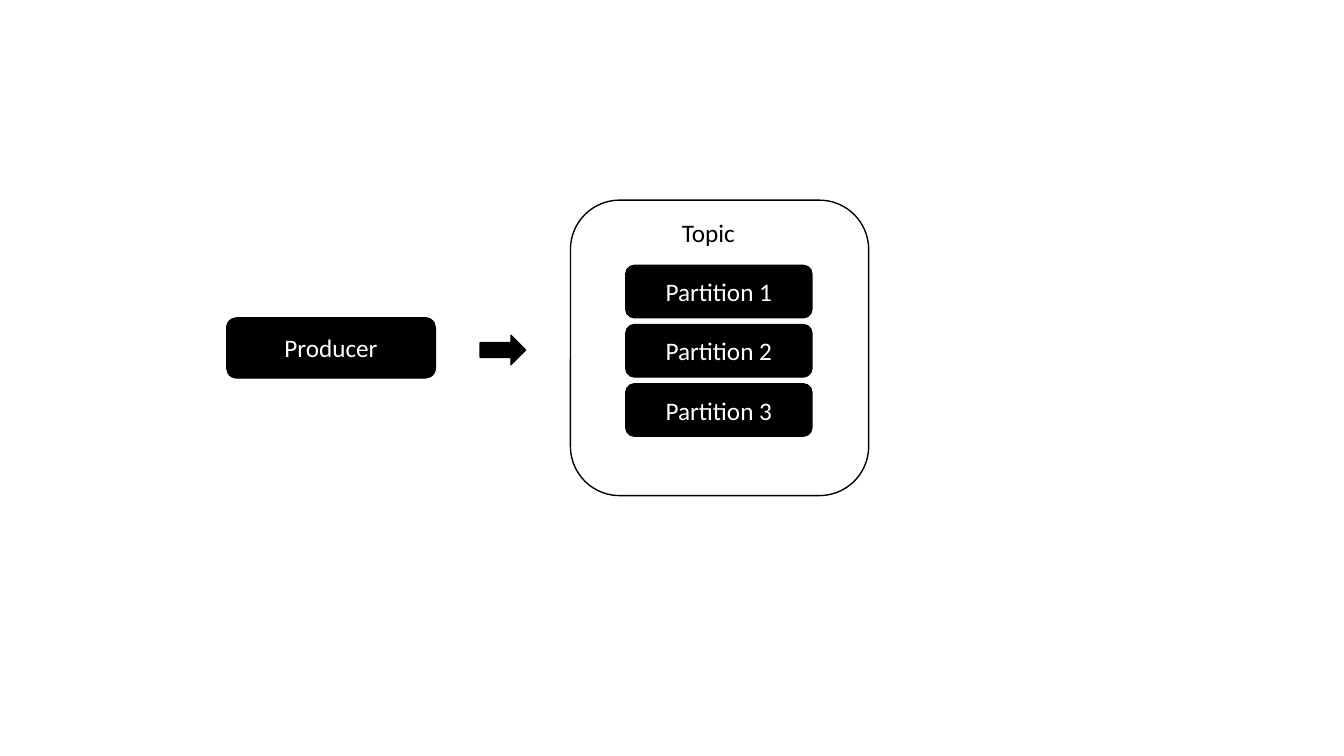
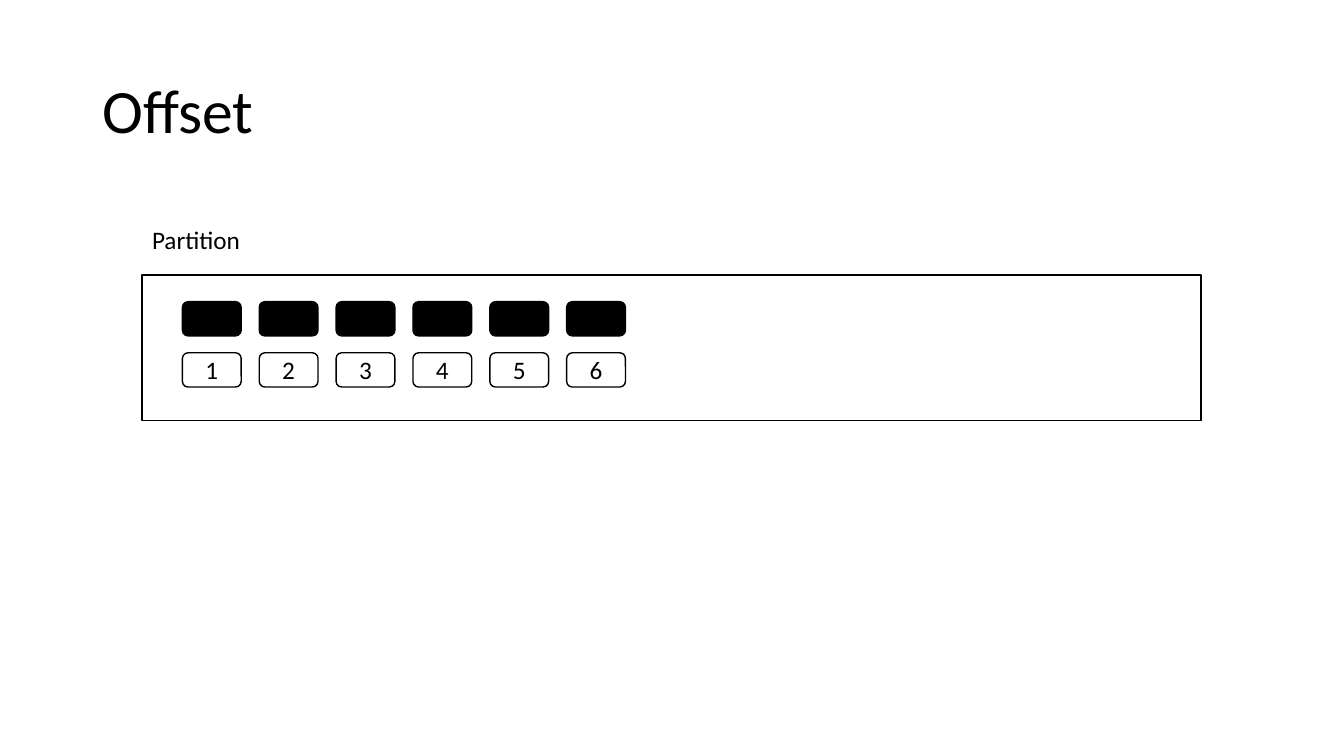
from pptx import Presentation
from pptx.dml.color import RGBColor
from pptx.enum.shapes import MSO_SHAPE as SHAPE
from pptx.enum.text import MSO_ANCHOR as ANCHOR, MSO_AUTO_SIZE as FIT, PP_ALIGN as ALIGN
from pptx.util import Pt

BLACK, WHITE = "000000", "FFFFFF"
FONT = "Calibri"


def add_box(s, kind, x, y, w, h, fill, text="", color=WHITE):
    sp = s.shapes.add_shape(kind, Pt(x), Pt(y), Pt(w), Pt(h))
    sp.shadow.inherit = False
    sp.fill.solid()
    sp.fill.fore_color.rgb = RGBColor.from_string(fill)
    sp.line.color.rgb = RGBColor.from_string(BLACK)
    sp.line.width = Pt(1)
    if text:
        tf = sp.text_frame
        tf.vertical_anchor = ANCHOR.MIDDLE
        set_text(tf, text, 18, color, ALIGN.CENTER)
    return sp


def set_text(tf, text, size, color=BLACK, align=ALIGN.LEFT):
    tf.text = text
    p = tf.paragraphs[0]
    p.alignment = align
    p.font.name = FONT
    p.font.size = Pt(size)
    p.font.color.rgb = RGBColor.from_string(color)
    return p


prs = Presentation()
prs.slide_width, prs.slide_height = Pt(960), Pt(540)
title_only, blank = prs.slide_layouts[5], prs.slide_layouts[6]

s = prs.slides.add_slide(blank)
add_box(s, SHAPE.RIGHT_ARROW, 343, 239.5, 32.5, 21, BLACK)
add_box(s, SHAPE.ROUNDED_RECTANGLE, 162, 227, 149, 43, BLACK, "Producer")
add_box(s, SHAPE.ROUNDED_RECTANGLE, 407.5, 143, 213, 211, WHITE)

tb = s.shapes.add_textbox(Pt(480), Pt(151.5), Pt(52.5), Pt(29))
tf = tb.text_frame
tf.word_wrap = False
tf.auto_size = FIT.SHAPE_TO_FIT_TEXT
set_text(tf, "Topic", 18)

for i in range(3):
    add_box(s, SHAPE.ROUNDED_RECTANGLE, 447, 189.5 + 42.3 * i, 133, 37.5, BLACK, f"Partition {i + 1}")

s = prs.slides.add_slide(title_only)
title = s.shapes.title
title.left, title.top, title.width, title.height = Pt(66), Pt(28.75), Pt(828), Pt(104.4)
title.text_frame.vertical_anchor = ANCHOR.MIDDLE
p = set_text(title.text_frame, "Offset", 44)
p.line_spacing = 0.9

add_box(s, SHAPE.RECTANGLE, 101.5, 196.5, 756.5, 104, WHITE)

tb = s.shapes.add_textbox(Pt(101.5), Pt(157), Pt(173.5), Pt(29))
tf = tb.text_frame
tf.word_wrap = True
tf.auto_size = FIT.SHAPE_TO_FIT_TEXT
set_text(tf, "Partition", 18)

for y, fill, numbered in [(215.5, BLACK, False), (252, WHITE, True)]:
    for i in range(6):
        text = str(i + 1) if numbered else ""
        add_box(s, SHAPE.ROUNDED_RECTANGLE, 130.3 + 54.9 * i, y, 42, 24.5, fill, text, BLACK)

prs.save("out.pptx")
